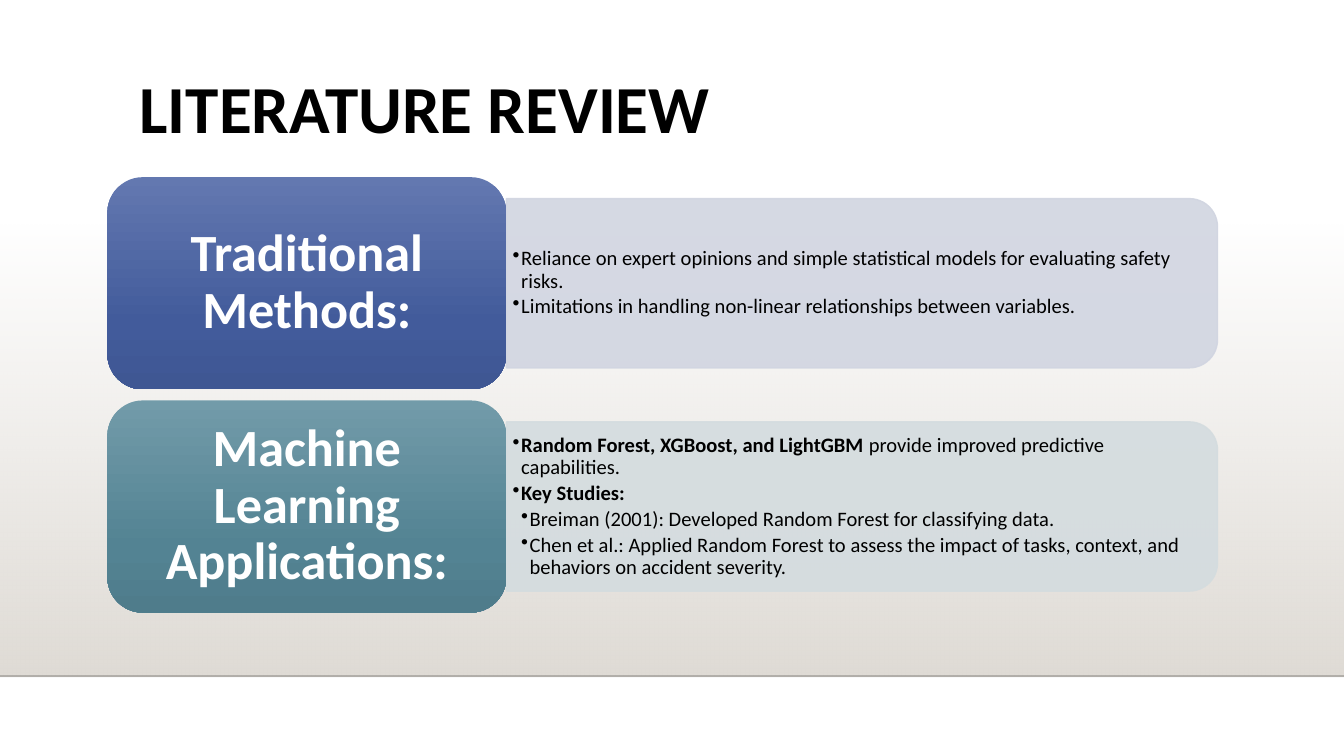
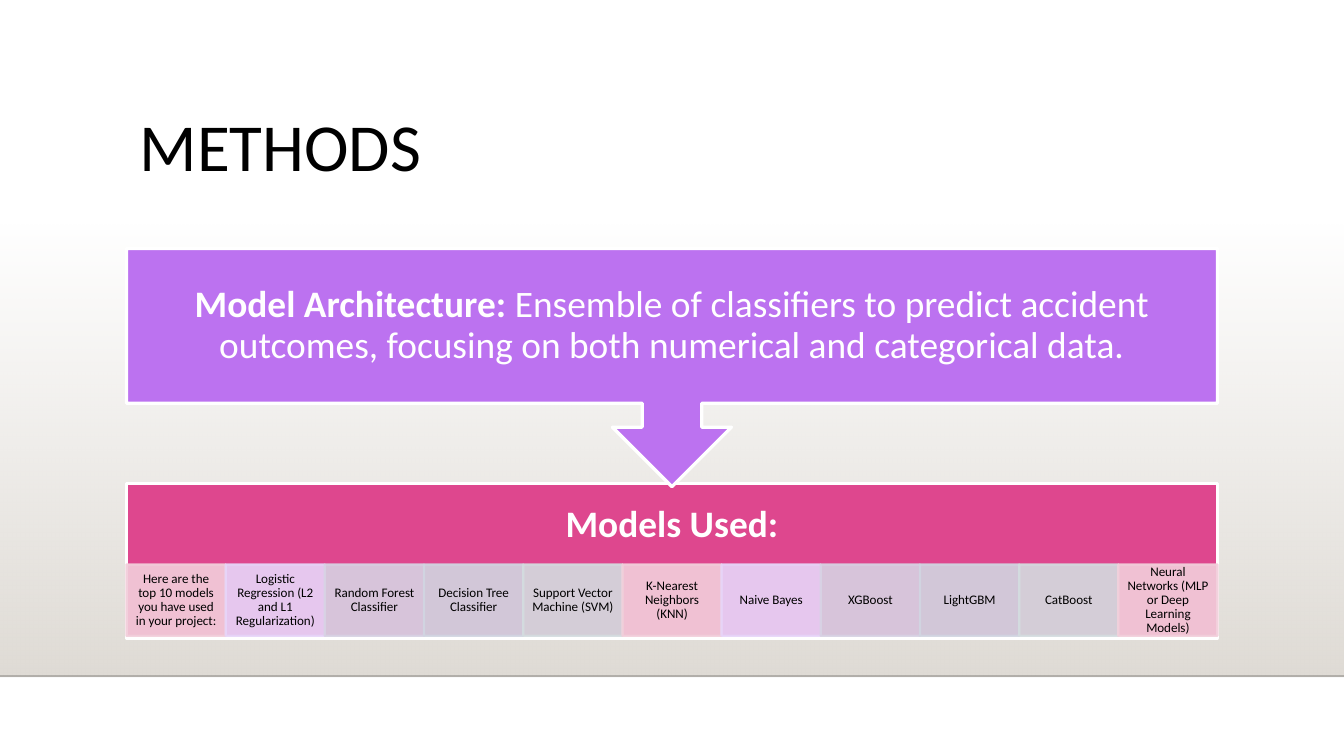
from lxml.etree import SubElement
from pptx import Presentation
from pptx.dml.color import RGBColor
from pptx.enum.shapes import MSO_CONNECTOR, MSO_SHAPE
from pptx.enum.text import MSO_ANCHOR, PP_ALIGN
from pptx.oxml.ns import qn
from pptx.util import Cm, Pt

FONT = "Calibri"
BLACK = RGBColor(0x00, 0x00, 0x00)
WHITE = RGBColor(0xFF, 0xFF, 0xFF)
BAND = RGBColor(0xDF, 0xDB, 0xD5)
PURPLE = RGBColor(0xBC, 0x72, 0xF0)
PINK = RGBColor(0xDE, 0x47, 0x8E)
PALE_PINK = RGBColor(0xF2, 0xCF, 0xDB)
PALE_PURPLE = RGBColor(0xE7, 0xD5, 0xF9)
PALE_MAUVE = RGBColor(0xD7, 0xD2, 0xE3)
PALE_BLUE = RGBColor(0xD1, 0xD5, 0xE1)
PALE_TEAL = RGBColor(0xD4, 0xDC, 0xDF)
CELL_TINTS = [PALE_PINK, PALE_PURPLE, PALE_MAUVE, PALE_BLUE, PALE_TEAL]
# Gradient stops: position in percent, colour, opacity in percent
BLUE_STOPS = [(0, RGBColor(0x63, 0x78, 0xB0), 100),
              (69, RGBColor(0x42, 0x5B, 0x9B), 100),
              (100, RGBColor(0x3F, 0x57, 0x93), 100)]
TEAL_STOPS = [(0, RGBColor(0x72, 0x9B, 0xA9), 100),
              (69, RGBColor(0x53, 0x83, 0x93), 100),
              (100, RGBColor(0x4F, 0x7C, 0x8B), 100)]
BAND_STOPS = [(0, BAND, 0), (100, BAND, 100)]

# Shared measures in centimetres
SLIDE_W, SLIDE_H = 25.4, 14.29
BAND_TOP, BAND_BOTTOM = 4.22, 12.78
LEFT, WIDTH = 2.39, 20.62

# Each topic: heading, gradient, panel tint, bullets as (level, runs)
TOPICS = [
    ("Traditional Methods:", BLUE_STOPS, PALE_BLUE, [
        (1, [("Reliance on expert opinions and simple statistical models "
              "for evaluating safety risks.", False)]),
        (1, [("Limitations in handling non-linear relationships between "
              "variables.", False)]),
    ]),
    ("Machine Learning Applications:", TEAL_STOPS, PALE_TEAL, [
        (1, [("Random Forest, XGBoost, and LightGBM", True),
             (" provide improved predictive capabilities.", False)]),
        (1, [("Key Studies:", True)]),
        (2, [("Breiman (2001): Developed Random Forest for classifying "
              "data.", False)]),
        (2, [("Chen et al.: Applied Random Forest to assess the impact of "
              "tasks, context, and behaviors on accident severity.", False)]),
    ]),
]
MODELS = [
    "Here are the top 10 models you have used in your project:",
    "Logistic Regression (L2 and L1 Regularization)",
    "Random Forest Classifier", "Decision Tree Classifier",
    "Support Vector Machine (SVM)", "K-Nearest Neighbors (KNN)",
    "Naive Bayes", "XGBoost", "LightGBM", "CatBoost",
    "Neural Networks (MLP or Deep Learning Models)",
]


def set_opacity(shape, percent):
    for colour in shape.element.spPr.iter(qn("a:srgbClr")):
        SubElement(colour, qn("a:alpha"), val=str(percent * 1000))


def set_gradient(shape, stops):
    """Fill from top to bottom."""
    shape.fill.gradient()
    gradient = shape.element.spPr.find(qn("a:gradFill"))
    for child in list(gradient):
        gradient.remove(child)
    stop_list = SubElement(gradient, qn("a:gsLst"))
    for position, colour, opacity in stops:
        stop = SubElement(stop_list, qn("a:gs"), pos=str(position * 1000))
        tint = SubElement(stop, qn("a:srgbClr"), val=str(colour))
        if opacity < 100:
            SubElement(tint, qn("a:alpha"), val=str(opacity * 1000))
    SubElement(gradient, qn("a:lin"), ang="5400000", scaled="0")


def add_block(slide, kind, box, fill, line=None, line_width=0):
    """Preset shape; fill is a colour or a list of gradient stops."""
    block = slide.shapes.add_shape(kind, *map(Cm, box))
    block.shadow.inherit = False
    if isinstance(fill, RGBColor):
        block.fill.solid()
        block.fill.fore_color.rgb = fill
    else:
        set_gradient(block, fill)
    if line is None:
        block.line.fill.background()
    else:
        block.line.color.rgb = line
        block.line.width = Pt(line_width)
    return block


def set_frame(shape, margins):
    """Margins run left, top, right, bottom."""
    frame = shape.text_frame
    frame.word_wrap = True
    frame.vertical_anchor = MSO_ANCHOR.MIDDLE
    (frame.margin_left, frame.margin_top,
     frame.margin_right, frame.margin_bottom) = map(Cm, margins)
    return frame


def write(paragraph, runs, size, colour, align=PP_ALIGN.LEFT):
    """Runs are (text, bold) pairs."""
    paragraph.alignment = align
    paragraph.line_spacing = 0.9
    font = paragraph.font
    font.name, font.size, font.color.rgb = FONT, Pt(size), colour
    for text, bold in runs:
        run = paragraph.add_run()
        run.text = text
        run.font.bold = bold


def write_centred(shape, runs, size, colour, margins):
    write(set_frame(shape, margins).paragraphs[0], runs, size, colour,
          PP_ALIGN.CENTER)


def add_bullets(slide, box, bullets):
    frame = set_frame(slide.shapes.add_textbox(*map(Cm, box)),
                      (0.12, 0.06, 0.12, 0.06))
    for index, (level, runs) in enumerate(bullets):
        paragraph = frame.add_paragraph() if index else frame.paragraphs[0]
        paragraph.level = level
        paragraph.space_after = Pt(2)
        properties = paragraph._p.get_or_add_pPr()
        properties.set("marL", str(Cm(0.16 * level)))
        properties.set("indent", str(-Cm(0.16)))
        SubElement(properties, qn("a:buChar"), char="•")
        write(paragraph, runs, 11, BLACK)


def add_titled_slide(deck, title, bold=False, bottom_margin=0.13):
    slide = deck.slides.add_slide(deck.slide_layouts[6])
    # Shaded band and the line under it
    add_block(slide, MSO_SHAPE.RECTANGLE,
              (0, BAND_TOP, SLIDE_W, BAND_BOTTOM - BAND_TOP), BAND_STOPS)
    floor = slide.shapes.add_connector(
        MSO_CONNECTOR.STRAIGHT, 0, Cm(BAND_BOTTOM), Cm(SLIDE_W), Cm(BAND_BOTTOM))
    floor.line.color.rgb = BLACK
    floor.line.width = Pt(1)
    set_opacity(floor, 20)
    SubElement(floor.element.spPr, qn("a:effectLst"))
    # Title
    heading = slide.shapes.add_textbox(Cm(LEFT), Cm(1.3), Cm(WIDTH), Cm(3.08))
    frame = set_frame(heading, (0.25, 0.13, 0.25, bottom_margin))
    write(frame.paragraphs[0], [(title, bold)], 36, BLACK)
    return slide


def add_topic(slide, top, heading, stops, tint, bullets):
    heading_left, heading_w, heading_h = 2.03, 7.54, 4.01
    panel_left, panel_w, panel_h = heading_left + heading_w, 13.44, 3.2
    middle = top + heading_h / 2
    # The panel is a tall shape turned on its side
    panel = add_block(slide, MSO_SHAPE.ROUND_2_SAME_RECTANGLE,
                      (panel_left + (panel_w - panel_h) / 2,
                       middle - panel_w / 2, panel_h, panel_w),
                      tint, tint, 0.75)
    panel.rotation = 90
    set_opacity(panel, 90)
    add_bullets(slide, (panel_left, middle - 1.45, 13.28, 2.9), bullets)
    label = add_block(slide, MSO_SHAPE.ROUNDED_RECTANGLE,
                      (heading_left, top, heading_w, heading_h), stops)
    write_centred(label, [(heading, True)], 28, WHITE, (0.3, 0.15, 0.3, 0.15))


def add_models(slide):
    models_used = add_block(slide, MSO_SHAPE.RECTANGLE,
                            (LEFT, 9.14, WIDTH, 2.92), PINK, WHITE, 1.75)
    write_centred(models_used, [("Models Used:", True)], 20, WHITE,
                  (0.41, 0.41, 0.41, 1.75))
    cell_w = WIDTH / len(MODELS)
    for index, model in enumerate(MODELS):
        tint = CELL_TINTS[index % len(CELL_TINTS)]
        cell = add_block(slide, MSO_SHAPE.RECTANGLE,
                         (LEFT + index * cell_w, 10.67, cell_w, 1.35),
                         tint, tint, 1.25)
        set_opacity(cell, 90)
        write_centred(cell, [(model, False)], 7, BLACK,
                      (0.13, 0.02, 0.13, 0.02))


def add_architecture(slide):
    callout = add_block(slide, MSO_SHAPE.DOWN_ARROW_CALLOUT,
                        (LEFT, 4.7, WIDTH, 4.5), PURPLE, WHITE, 1.75)
    write_centred(callout, [
        ("Model Architecture:", True),
        (" Ensemble of classifiers to predict accident outcomes, focusing "
         "on both numerical and categorical data.", False),
    ], 20, WHITE, (0.41, 0.41, 0.41, 0.41))


def main():
    deck = Presentation()
    deck.slide_width, deck.slide_height = Cm(SLIDE_W), Cm(SLIDE_H)

    # Literature review
    review = add_titled_slide(deck, "LITERATURE REVIEW", bold=True,
                              bottom_margin=1.6)
    for index, topic in enumerate(TOPICS):
        add_topic(review, 3.35 + index * 4.22, *topic)

    # Methods
    methods = add_titled_slide(deck, "METHODS")
    add_models(methods)
    add_architecture(methods)

    deck.save("out.pptx")


if __name__ == "__main__":
    main()
